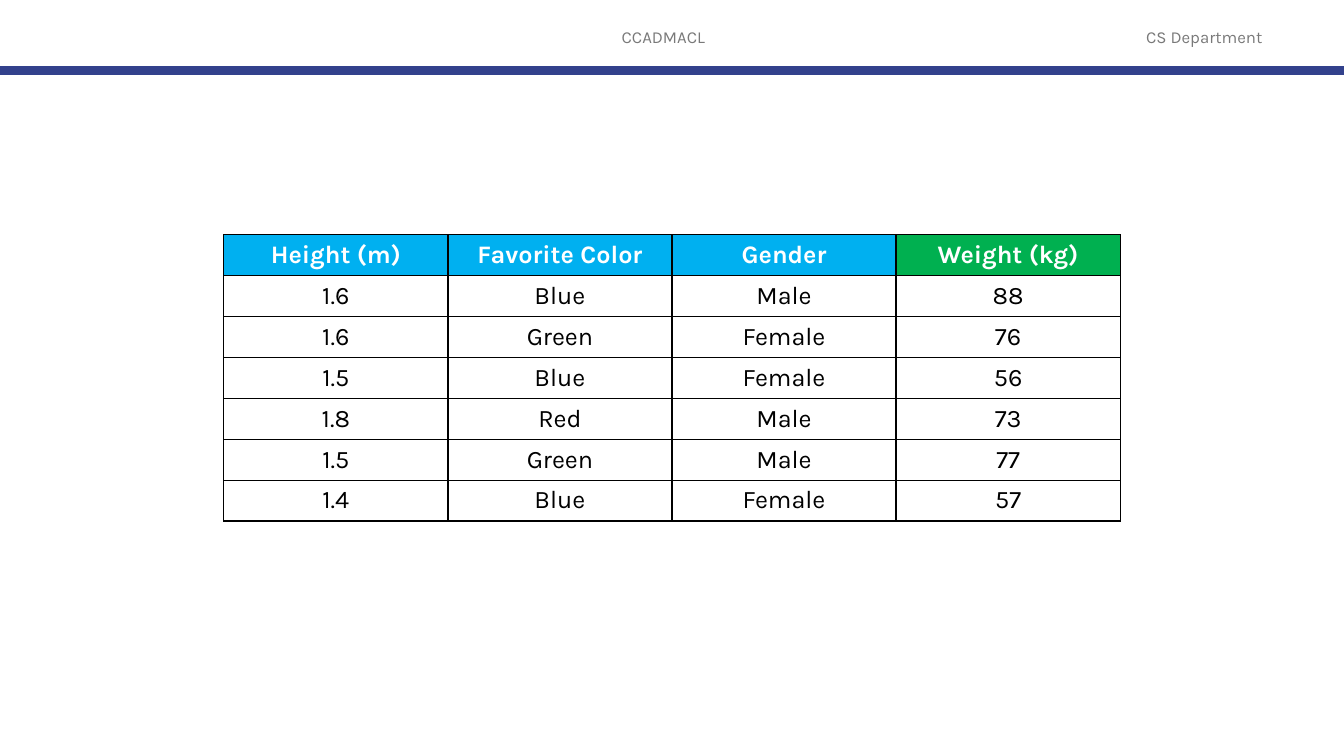
import pptx
import pptx.util
import pptx.dml.color
import pptx.enum.shapes
import pptx.enum.text
import pptx.oxml
import pptx.oxml.ns

Inches = pptx.util.Inches
Pt = pptx.util.Pt
RGBColor = pptx.dml.color.RGBColor

FONT = "Karla"
GRAY = RGBColor(0x79, 0x79, 0x79)
NAVY = RGBColor(0x32, 0x41, 0x8C)
FEATURE_BLUE = RGBColor(0x00, 0xB0, 0xF0)
TARGET_GREEN = RGBColor(0x00, 0xB0, 0x50)
WHITE = RGBColor(0xFF, 0xFF, 0xFF)
BLACK = RGBColor(0x00, 0x00, 0x00)

SLIDE_WIDTH, SLIDE_HEIGHT = 13.33, 7.5
HEADER_LABELS = [
    ("CCADMACL", 4.33, 4.5),
    ("CS Department", 10.92, 2.05),
]
HEADER_TOP, HEADER_HEIGHT, RULE_TOP = 0.17, 0.4, 0.7

COLUMNS = [
    ("Height (m)", FEATURE_BLUE),
    ("Favorite Color", FEATURE_BLUE),
    ("Gender", FEATURE_BLUE),
    ("Weight (kg)", TARGET_GREEN),
]
PEOPLE = [
    ("1.6", "Blue", "Male", "88"),
    ("1.6", "Green", "Female", "76"),
    ("1.5", "Blue", "Female", "56"),
    ("1.8", "Red", "Male", "73"),
    ("1.5", "Green", "Male", "77"),
    ("1.4", "Blue", "Female", "57"),
]
TABLE_LEFT, TABLE_TOP, TABLE_WIDTH, TABLE_HEIGHT = 2.22, 2.33, 8.89, 2.84


def write(frame, text, size=18, color=BLACK, bold=False):
    paragraph = frame.paragraphs[0]
    paragraph.alignment = pptx.enum.text.PP_ALIGN.CENTER
    run = paragraph.add_run()
    run.text = text
    run.font.name = FONT
    run.font.size = Pt(size)
    run.font.bold = bold
    run.font.color.rgb = color


def outline(cell):
    properties = cell._tc.get_or_add_tcPr()
    for position, side in enumerate(("lnL", "lnR", "lnT", "lnB")):
        border = pptx.oxml.parse_xml(
            f'<a:{side} {pptx.oxml.ns.nsdecls("a")} w="{Pt(1)}">'
            f'<a:solidFill><a:srgbClr val="{BLACK}"/></a:solidFill></a:{side}>'
        )
        properties.insert(position, border)


def add_header(slide):
    for label, left, width in HEADER_LABELS:
        box = slide.shapes.add_textbox(
            Inches(left), Inches(HEADER_TOP), Inches(width), Inches(HEADER_HEIGHT)
        )
        box.text_frame.word_wrap = True
        box.text_frame.vertical_anchor = pptx.enum.text.MSO_ANCHOR.MIDDLE
        write(box.text_frame, label, size=12, color=GRAY)
    rule = slide.shapes.add_connector(
        pptx.enum.shapes.MSO_CONNECTOR.STRAIGHT,
        0, Inches(RULE_TOP), Inches(SLIDE_WIDTH), Inches(RULE_TOP),
    )
    rule.line.color.rgb = NAVY
    rule.line.width = Pt(6)
    rule._element.spPr.append(pptx.oxml.parse_xml(
        f'<a:effectLst {pptx.oxml.ns.nsdecls("a")}/>'
    ))


def add_people_table(slide):
    table = slide.shapes.add_table(
        len(PEOPLE) + 1, len(COLUMNS),
        Inches(TABLE_LEFT), Inches(TABLE_TOP),
        Inches(TABLE_WIDTH), Inches(TABLE_HEIGHT),
    ).table
    table.horz_banding = False
    headings = [heading for heading, _ in COLUMNS]
    for row, values in enumerate([headings] + PEOPLE):
        for column, value in enumerate(values):
            cell = table.cell(row, column)
            cell.vertical_anchor = pptx.enum.text.MSO_ANCHOR.MIDDLE
            is_heading = row == 0
            if is_heading:
                cell.fill.solid()
                cell.fill.fore_color.rgb = COLUMNS[column][1]
            else:
                cell.fill.background()
            write(cell.text_frame, value,
                  color=WHITE if is_heading else BLACK, bold=is_heading)
            outline(cell)


def main():
    presentation = pptx.Presentation()
    presentation.slide_width = Inches(SLIDE_WIDTH)
    presentation.slide_height = Inches(SLIDE_HEIGHT)
    slide = presentation.slides.add_slide(presentation.slide_layouts[6])
    add_header(slide)
    add_people_table(slide)
    presentation.save("out.pptx")


if __name__ == "__main__":
    main()
